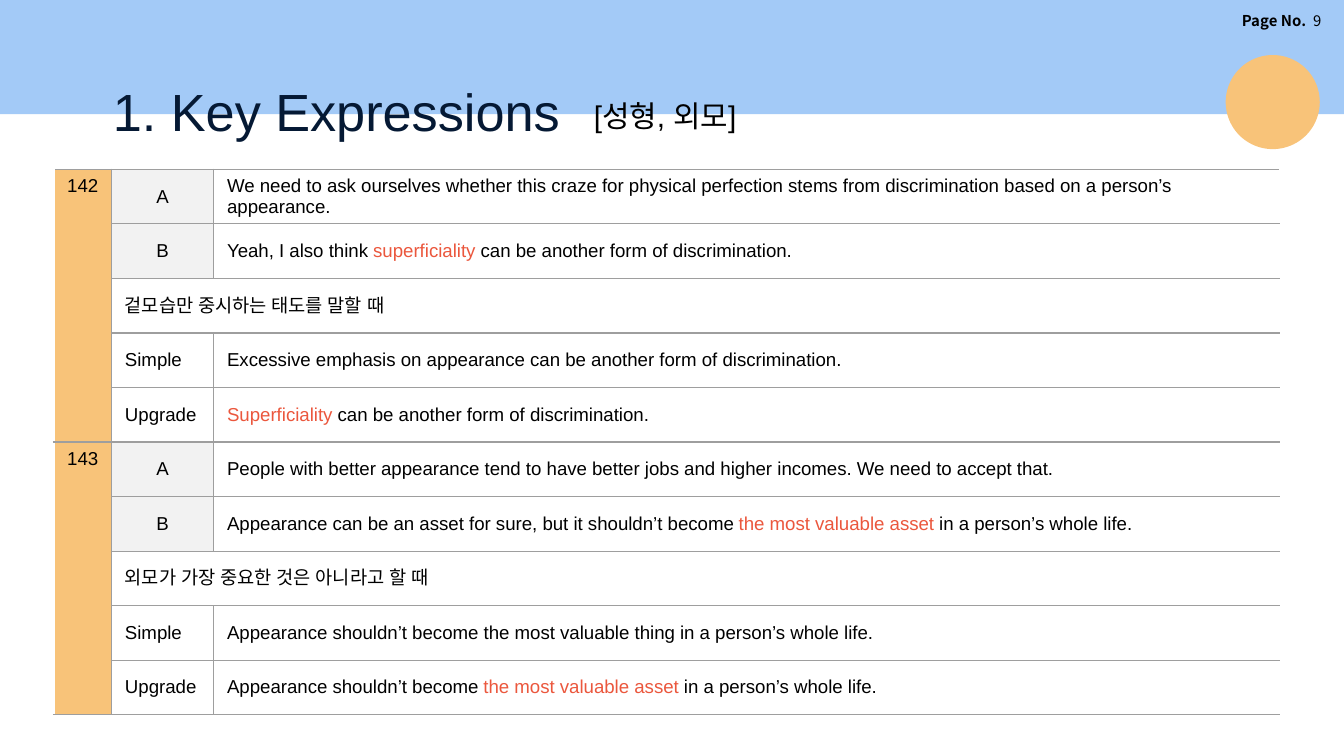
from dataclasses import dataclass

from lxml.etree import SubElement
from pptx import Presentation
from pptx.dml.color import RGBColor
from pptx.enum.shapes import MSO_SHAPE
from pptx.enum.text import MSO_ANCHOR, MSO_AUTO_SIZE, PP_ALIGN
from pptx.oxml.ns import qn
from pptx.util import Inches, Pt

WIDTH = 10
HEIGHT = WIDTH * 9 / 16
BLUE, ORANGE, RED, NAVY = "A3CAF7", "F8C379", "EB573D", "051934"
BLACK, WHITE, PALE, GREY = "000000", "FFFFFF", "F2F2F2", "9E9E9E"
COLUMNS = (0.43, 0.76, 7.93)
TABLE_HEIGHT = 4.06


@dataclass
class Expression:
    """One block of five rows; asterisks enclose highlighted words."""
    number: str
    a: str
    b: str
    usage: str
    simple: str
    upgrade: str


EXPRESSIONS = [
    Expression(
        "142",
        "We need to ask ourselves whether this craze for physical perfection "
        "stems from discrimination based on a person’s appearance.",
        "Yeah, I also think *superficiality* can be another form of discrimination.",
        "겉모습만 중시하는 태도를 말할 때",
        "Excessive emphasis on appearance can be another form of discrimination.",
        "*Superficiality* can be another form of discrimination.",
    ),
    Expression(
        "143",
        "People with better appearance tend to have better jobs and higher "
        "incomes. We need to accept that.",
        "Appearance can be an asset for sure, but it shouldn’t become "
        "*the most valuable asset *in a person’s whole life.",
        "외모가 가장 중요한 것은 아니라고 할 때",
        "Appearance shouldn’t become the most valuable thing in a person’s whole life.",
        "Appearance shouldn’t become *the most valuable asset *in a person’s whole life.",
    ),
]
BLOCK_ROWS = 5


def color(code: str) -> RGBColor:
    return RGBColor.from_string(code)


def style(paragraph, size: float, name: str = "Arial", code: str = BLACK) -> None:
    font = paragraph.font
    font.size, font.name = Pt(size), name
    font.color.rgb = color(code)


def add_plain_shape(page, kind, left: float, top: float, width: float,
                    height: float, fill: str):
    shape = page.shapes.add_shape(
        kind, Inches(left), Inches(top), Inches(width), Inches(height))
    shape.shadow.inherit = False
    shape.fill.solid()
    shape.fill.fore_color.rgb = color(fill)
    shape.line.fill.background()
    return shape


def add_text_box(page, left: float, top: float, width: float, height: float):
    """Add a wrapping text box and return its first paragraph."""
    box = page.shapes.add_textbox(
        Inches(left), Inches(top), Inches(width), Inches(height))
    box.text_frame.word_wrap = True
    return box.text_frame.paragraphs[0]


def set_borders(cell, left: str, right: str) -> None:
    """Draw the four sides; white outer sides are a little wider."""
    properties = cell._tc.get_or_add_tcPr()
    sides = {"a:lnL": left, "a:lnR": right, "a:lnT": GREY, "a:lnB": GREY}
    for index, (tag, code) in enumerate(sides.items()):
        width = Pt(1 if code == WHITE else 0.75)
        line = SubElement(properties, qn(tag), w=str(width))
        SubElement(SubElement(line, qn("a:solidFill")), qn("a:srgbClr"), val=code)
        properties.insert(index, line)


def fill_cell(cell, text: str, fill: str = WHITE, centred: bool = False,
              anchor=MSO_ANCHOR.MIDDLE) -> None:
    cell.fill.solid()
    cell.fill.fore_color.rgb = color(fill)
    cell.vertical_anchor = anchor
    cell.margin_top = cell.margin_bottom = Inches(0.03)
    para = cell.text_frame.paragraphs[0]
    if centred:
        para.alignment = PP_ALIGN.CENTER
    style(para, 10)
    SubElement(para._p.pPr.find(qn("a:defRPr")), qn("a:ea"), typeface="Arial")
    for index, part in enumerate(text.split("*")):
        if part:
            span = para.add_run()
            span.text = part
            if index % 2:
                span.font.color.rgb = color(RED)


def fill_block(table, first: int, item: Expression) -> None:
    number = table.cell(first, 0)
    number.merge(table.cell(first + BLOCK_ROWS - 1, 0))
    fill_cell(number, item.number, ORANGE, anchor=MSO_ANCHOR.TOP)
    number.margin_top, number.margin_right = Inches(0.05), Inches(0.04)

    lines = {0: ("A", item.a), 1: ("B", item.b),
             3: ("Simple", item.simple), 4: ("Upgrade", item.upgrade)}
    for offset, (label, sentence) in lines.items():
        speaker = offset < 2
        fill_cell(table.cell(first + offset, 1), label,
                  PALE if speaker else WHITE, centred=speaker)
        fill_cell(table.cell(first + offset, 2), sentence)

    usage = table.cell(first + 2, 1)
    usage.merge(table.cell(first + 2, 2))
    fill_cell(usage, item.usage)


def add_expression_table(page) -> None:
    count = BLOCK_ROWS * len(EXPRESSIONS)
    frame = page.shapes.add_table(
        count, len(COLUMNS), Inches(0.4), Inches(1.26),
        Inches(sum(COLUMNS)), Inches(TABLE_HEIGHT))
    table = frame.table
    table.first_row = table.horz_banding = False
    for column, width in zip(table.columns, COLUMNS):
        column.width = Inches(width)
    for index, item in enumerate(EXPRESSIONS):
        fill_block(table, index * BLOCK_ROWS, item)
    for row in table.rows:
        number, label, sentence = row.cells
        set_borders(number, WHITE, GREY)
        set_borders(label, GREY, WHITE if label.is_merge_origin else GREY)
        set_borders(sentence, GREY, WHITE)


def add_title(page) -> None:
    title = page.shapes.title
    title.left, title.top = Inches(0.74), Inches(0.49)
    title.width, title.height = Inches(3.58), Inches(0.63)
    frame = title.text_frame
    frame.auto_size = MSO_AUTO_SIZE.NONE
    frame.vertical_anchor = MSO_ANCHOR.TOP
    frame.margin_left = frame.margin_right = Inches(0.1)
    frame.margin_top = frame.margin_bottom = Inches(0.1)
    frame.text = "1. Key Expressions"
    para = frame.paragraphs[0]
    para.alignment = PP_ALIGN.LEFT
    style(para, 28, code=NAVY)


def add_page_number(page) -> None:
    para = add_text_box(page, 8.48, 0.04, 1.45, 0.23)
    para.alignment = PP_ALIGN.RIGHT
    style(para, 8, "Noto Sans CJK KR")
    for text, bold in (("Page No.  ", True), ("9", False)):
        span = para.add_run()
        span.text, span.font.bold = text, bold


def main() -> None:
    deck = Presentation()
    deck.slide_width, deck.slide_height = Inches(WIDTH), Inches(HEIGHT)
    page = deck.slides.add_slide(deck.slide_layouts.get_by_name("Title Only"))

    band = add_plain_shape(page, MSO_SHAPE.RECTANGLE, 0, 0, WIDTH, 0.85, BLUE)
    page.shapes.title.element.addprevious(band.element)
    add_page_number(page)
    add_title(page)
    add_expression_table(page)
    add_plain_shape(page, MSO_SHAPE.OVAL, 9.12, 0.41, 0.7, 0.7, ORANGE)
    topic = add_text_box(page, 4.32, 0.68, 2.44, 0.37)
    topic.text = "[성형, 외모]"
    style(topic, 16)
    deck.save("out.pptx")


if __name__ == "__main__":
    main()
